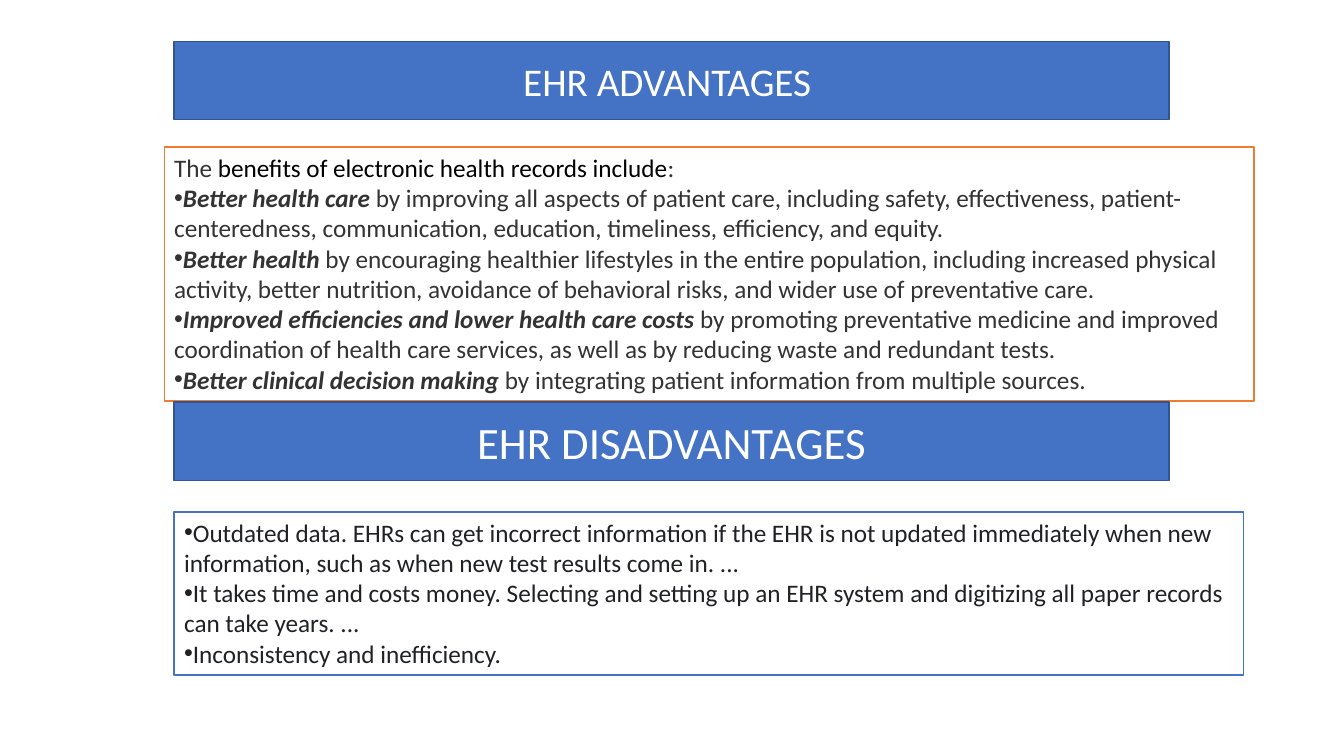
from lxml import etree
from pptx import Presentation
from pptx.dml.color import RGBColor
from pptx.enum.shapes import MSO_SHAPE
from pptx.enum.text import MSO_ANCHOR, MSO_AUTO_SIZE, PP_ALIGN
from pptx.oxml.ns import qn
from pptx.util import Cm, Pt

RECTANGLE = MSO_SHAPE.RECTANGLE
TOP, MIDDLE = MSO_ANCHOR.TOP, MSO_ANCHOR.MIDDLE
LEFT, CENTER = PP_ALIGN.LEFT, PP_ALIGN.CENTER
GROW, FIXED = MSO_AUTO_SIZE.SHAPE_TO_FIT_TEXT, MSO_AUTO_SIZE.NONE

WHITE = RGBColor(0xFF, 0xFF, 0xFF)
BLACK = RGBColor(0x00, 0x00, 0x00)
BLUE = RGBColor(0x44, 0x72, 0xC4)
DARK_BLUE = RGBColor(0x32, 0x54, 0x91)
ORANGE = RGBColor(0xED, 0x7D, 0x31)
GRAY = RGBColor(0x33, 0x33, 0x33)
INK = RGBColor(0x20, 0x21, 0x24)

# Content: lead-in line, then (bold term, explanation) pairs and plain points
INTRO = [
    ("The ", GRAY),
    ("benefits of electronic health records include", BLACK),
    (":", GRAY),
]
ADVANTAGES = [
    ("Better health care", " by improving all aspects of patient care, including safety, "
     "effectiveness, patient-centeredness, communication, education, timeliness, "
     "efficiency, and equity."),
    ("Better health", " by encouraging healthier lifestyles in the entire population, "
     "including increased physical activity, better nutrition, avoidance of behavioral "
     "risks, and wider use of preventative care."),
    ("Improved efficiencies and lower health care costs ", "by promoting preventative "
     "medicine and improved coordination of health care services, as well as by reducing "
     "waste and redundant tests."),
    ("Better clinical decision making", " by integrating patient information from "
     "multiple sources."),
]
DISADVANTAGES = [
    "Outdated data. EHRs can get incorrect information if the EHR is not updated "
    "immediately when new information, such as when new test results come in. ...",
    "It takes time and costs money. Selecting and setting up an EHR system and digitizing "
    "all paper records can take years. ...",
    "Inconsistency and inefficiency.",
]
# Banners: text, top in cm, text size in points
BANNERS = [("EHR ADVANTAGES ", 1.04, 28), ("EHR DISADVANTAGES", 10.13, 32)]

# Layout in cm
MARGIN_LEFT = 4.39
BANNER_WIDTH, BANNER_HEIGHT = 25.07, 1.98
ADVANTAGES_AREA = (4.14, 3.71, 27.46, 6.4)
DISADVANTAGES_AREA = (MARGIN_LEFT, 12.9, 26.95, 4.11)
BODY_SIZE = 18


def add_box(page, area, fill, line, anchor, fit):
    box = page.shapes.add_shape(RECTANGLE, *(Cm(length) for length in area))
    box.shadow.inherit = False
    box.fill.solid()
    box.fill.fore_color.rgb = fill
    box.line.color.rgb = line
    box.line.width = Pt(1)
    settings = {"word_wrap": True, "auto_size": fit, "vertical_anchor": anchor}
    for name, value in settings.items():
        setattr(box.text_frame, name, value)
    return box


def fill_text(box, paragraphs, align):
    """Each paragraph is (has bullet, [(text, font format, colour), ...])."""
    frame = box.text_frame
    for index, (bulleted, spans) in enumerate(paragraphs):
        para = frame.add_paragraph() if index else frame.paragraphs[0]
        para.alignment = align
        if bulleted:
            properties = para._p.get_or_add_pPr()
            etree.SubElement(properties, qn("a:buFont")).set("typeface", "Arial")
            etree.SubElement(properties, qn("a:buChar")).set("char", "•")
        for text, formats, color in spans:
            span = para.add_run()
            span.text = text
            for name, value in {"name": "Calibri", **formats}.items():
                setattr(span.font, name, value)
            span.font.color.rgb = color


deck = Presentation()
deck.slide_width, deck.slide_height = Cm(33.87), Cm(19.05)
page = deck.slides.add_slide(deck.slide_layouts[6])

plain = {"size": Pt(BODY_SIZE)}
strong = {**plain, "bold": True, "italic": True}

# Advantages panel
advantages = [(False, [(text, plain, color) for text, color in INTRO])]
advantages += [(True, [(term, strong, GRAY), (reason, plain, GRAY)])
               for term, reason in ADVANTAGES]
box = add_box(page, ADVANTAGES_AREA, WHITE, ORANGE, TOP, GROW)
fill_text(box, advantages, LEFT)

# Disadvantages panel
box = add_box(page, DISADVANTAGES_AREA, WHITE, BLUE, TOP, GROW)
fill_text(box, [(True, [(point, plain, INK)]) for point in DISADVANTAGES], LEFT)

# Banners
for title, top, size in BANNERS:
    area = (MARGIN_LEFT, top, BANNER_WIDTH, BANNER_HEIGHT)
    box = add_box(page, area, BLUE, DARK_BLUE, MIDDLE, FIXED)
    fill_text(box, [(False, [(title, {"size": Pt(size)}, WHITE)])], CENTER)

deck.save("out.pptx")
